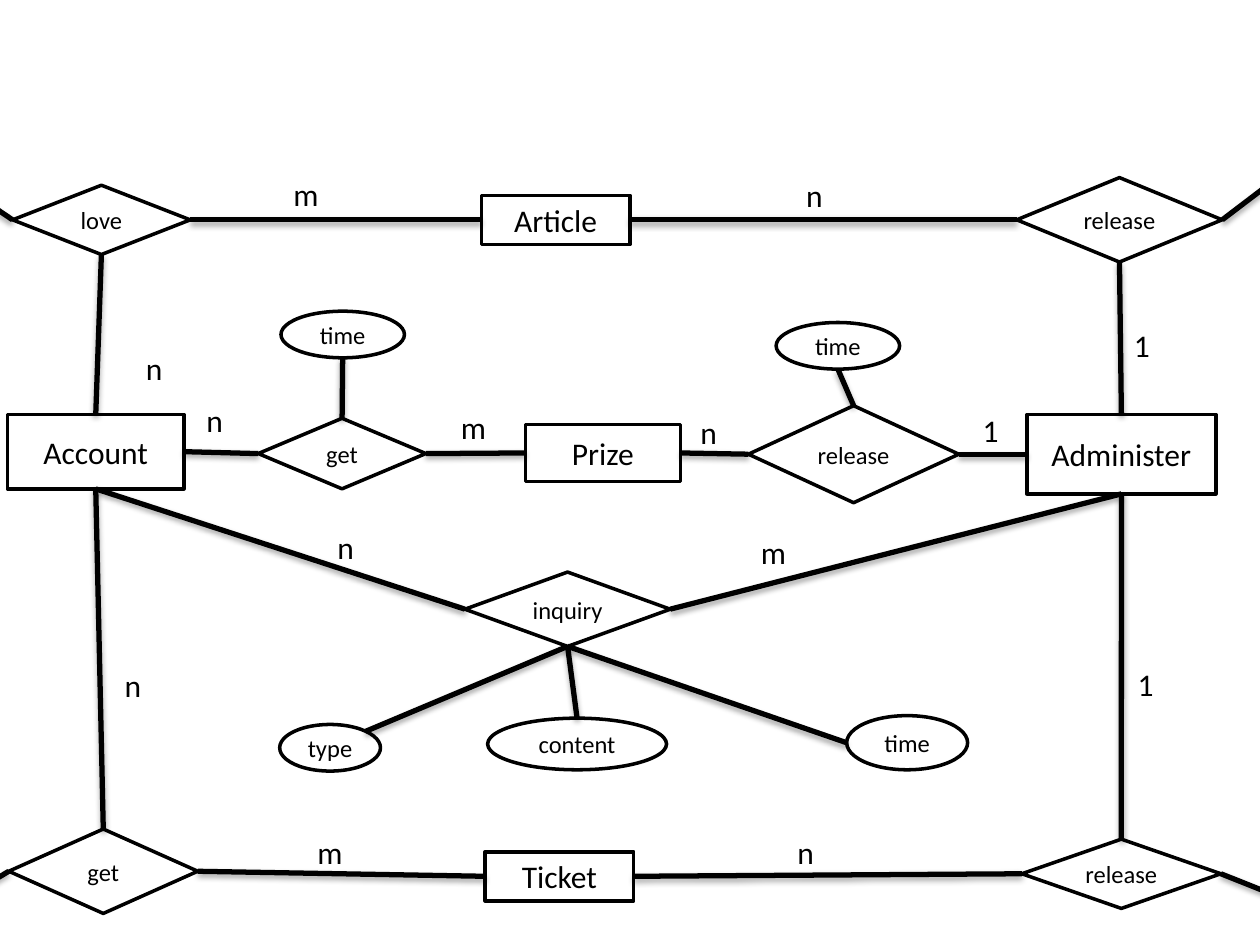
from math import cos, radians, sin

from pptx import Presentation
from pptx.dml.color import RGBColor
from pptx.enum.shapes import MSO_CONNECTOR, MSO_SHAPE
from pptx.enum.text import MSO_ANCHOR, PP_ALIGN
from pptx.oxml import parse_xml
from pptx.oxml.ns import nsdecls
from pptx.util import Inches, Pt

TOP, LEFT, BOTTOM, RIGHT = range(4)
INK, PAPER = "000000", "FFFFFF"
FONT = "Calibri"
ENTITY, RELATION, ATTRIBUTE = (
    MSO_SHAPE.RECTANGLE, MSO_SHAPE.FLOWCHART_DECISION, MSO_SHAPE.OVAL)
SHADOW = (
    f'<a:effectLst {nsdecls("a")}>'
    '<a:outerShdw blurRad="40000" dist="23000" dir="5400000" rotWithShape="0">'
    f'<a:srgbClr val="{INK}"><a:alpha val="35000"/></a:srgbClr>'
    '</a:outerShdw></a:effectLst>')


def color(hex_value):
    return RGBColor.from_string(hex_value)


def write(shape, text, size, align):
    frame = shape.text_frame
    frame.word_wrap = True
    frame.text = text
    paragraph = frame.paragraphs[0]
    paragraph.alignment = align
    font = paragraph.runs[0].font
    font.name, font.size = FONT, Pt(size)
    font.color.rgb = color(INK)


def add_node(slide, origin, kind, text, x, y, width, height):
    """Add an entity, relation or attribute, offset from its region's origin."""
    node = slide.shapes.add_shape(
        kind, Inches(origin[0] + x), Inches(origin[1] + y), Inches(width), Inches(height))
    node.shadow.inherit = False
    node.fill.solid()
    node.fill.fore_color.rgb = color(PAPER)
    node.line.color.rgb = color(INK)
    node.line.width = Pt(2)
    write(node, text, 18 if kind == ENTITY else 14, PP_ALIGN.CENTER)
    frame = node.text_frame
    frame.margin_left = frame.margin_right = 0
    frame.vertical_anchor = MSO_ANCHOR.MIDDLE
    return node


def add_cardinality(slide, origin, text, x, y):
    label = slide.shapes.add_textbox(
        Inches(origin[0] + x), Inches(origin[1] + y), Inches(0.42), Inches(0.4))
    write(label, text, 18, PP_ALIGN.LEFT)


def add_line(slide, x=0, y=0):
    line = slide.shapes.add_connector(MSO_CONNECTOR.STRAIGHT, x, y, x, y)
    line.line.color.rgb = color(INK)
    line.line.width = Pt(3)
    line._element.spPr.append(parse_xml(SHADOW))
    return line


def join(slide, start, start_side, end, end_side):
    line = add_line(slide)
    line.begin_connect(start, start_side)
    line.end_connect(end, end_side)


def join_from_point(slide, x, y, relation, side):
    add_line(slide, Inches(x), Inches(y)).end_connect(relation, side)


def add_attribute(slide, origin, text, bounds, angle, relation, side):
    """Add an attribute whose line leaves the oval at the given clockwise angle."""
    oval = add_node(slide, origin, ATTRIBUTE, text, *bounds)
    x = oval.left + oval.width / 2 * (1 + cos(radians(angle)))
    y = oval.top + oval.height / 2 * (1 + sin(radians(angle)))
    add_line(slide, int(x), int(y)).end_connect(relation, side)


def draw_row(slide, origin, left_relation, entity, right_relation, m_at, n_at):
    """Draw relation - entity - relation and return the two relations."""
    left = add_node(slide, origin, RELATION, *left_relation)
    middle = add_node(slide, origin, ENTITY, *entity)
    right = add_node(slide, origin, RELATION, *right_relation)
    join(slide, left, RIGHT, middle, LEFT)
    join(slide, middle, RIGHT, right, LEFT)
    add_cardinality(slide, origin, "m", *m_at)
    add_cardinality(slide, origin, "n", *n_at)
    return left, right


def draw_article(slide, origin, account, administer):
    love, release = draw_row(
        slide, origin, ("love", 0.1, 0.13, 1.41, 0.55),
        ("Article", 3.82, 0.21, 1.18, 0.39),
        ("release", 8.07, 0.07, 1.63, 0.67), (2.23, 0), (6.3, 0.01))
    join(slide, account, TOP, love, BOTTOM)
    join(slide, release, BOTTOM, administer, TOP)
    join_from_point(slide, -0.72, 1.19, love, LEFT)
    join_from_point(slide, 10.43, 1.19, release, RIGHT)
    add_cardinality(slide, origin, "n", 1.06, 1.38)
    add_cardinality(slide, origin, "1", 8.9, 1.2)


def draw_prize(slide, origin, account, administer):
    get, release = draw_row(
        slide, origin, ("get", 0, 0.13, 1.33, 0.56),
        ("Prize", 2.12, 0.18, 1.23, 0.45),
        ("release", 3.89, 0.03, 1.67, 0.77), (1.51, 0), (3.41, 0.04))
    join(slide, account, RIGHT, get, LEFT)
    join(slide, release, RIGHT, administer, LEFT)
    add_attribute(slide, origin, "time", (0.18, -0.72, 0.98, 0.37), 90, get, TOP)
    add_attribute(slide, origin, "time", (4.11, -0.63, 0.98, 0.37), 90, release, TOP)
    add_cardinality(slide, origin, "n", -0.51, -0.06)
    add_cardinality(slide, origin, "1", 5.65, 0.02)


def draw_inquiry(slide, origin, account, administer):
    inquiry = add_node(slide, origin, RELATION, "inquiry", 1.47, 0.4, 1.63, 0.59)
    join(slide, account, BOTTOM, inquiry, LEFT)
    join(slide, inquiry, RIGHT, administer, BOTTOM)
    for text, bounds, angle in (
            ("type", (0, 1.61, 0.8, 0.37), -45),
            ("content", (1.65, 1.56, 1.42, 0.41), -90),
            ("time", (4.5, 1.54, 0.96, 0.43), 180)):
        add_attribute(slide, origin, text, bounds, angle, inquiry, BOTTOM)
    add_cardinality(slide, origin, "n", 0.36, 0)
    add_cardinality(slide, origin, "m", 3.72, 0.04)


def draw_ticket(slide, origin, account, administer):
    get, release = draw_row(
        slide, origin, ("get", 0.07, 0.02, 1.5, 0.67),
        ("Ticket", 3.85, 0.2, 1.18, 0.39),
        ("release", 8.11, 0.1, 1.58, 0.55), (2.42, 0), (6.23, 0))
    join(slide, account, BOTTOM, get, TOP)
    join(slide, release, TOP, administer, BOTTOM)
    join_from_point(slide, -0.42, 7.21, get, LEFT)
    join_from_point(slide, 10.28, 7.17, release, RIGHT)
    add_cardinality(slide, origin, "n", 0.89, -1.32)
    add_cardinality(slide, origin, "1", 8.93, -1.33)


def main():
    presentation = Presentation()
    presentation.slide_width, presentation.slide_height = Inches(10), Inches(7.5)
    slide = presentation.slides.add_slide(presentation.slide_layouts[6])
    account = add_node(slide, (0.06, 3.29), ENTITY, "Account", 0, 0, 1.4, 0.59)
    administer = add_node(slide, (8.15, 3.29), ENTITY, "Administer", 0, 0, 1.5, 0.63)
    draw_article(slide, (0, 1.34), account, administer)
    draw_prize(slide, (2.05, 3.19), account, administer)
    draw_inquiry(slide, (2.22, 4.14), account, administer)
    draw_ticket(slide, (0, 6.56), account, administer)
    presentation.save("out.pptx")


if __name__ == "__main__":
    main()
